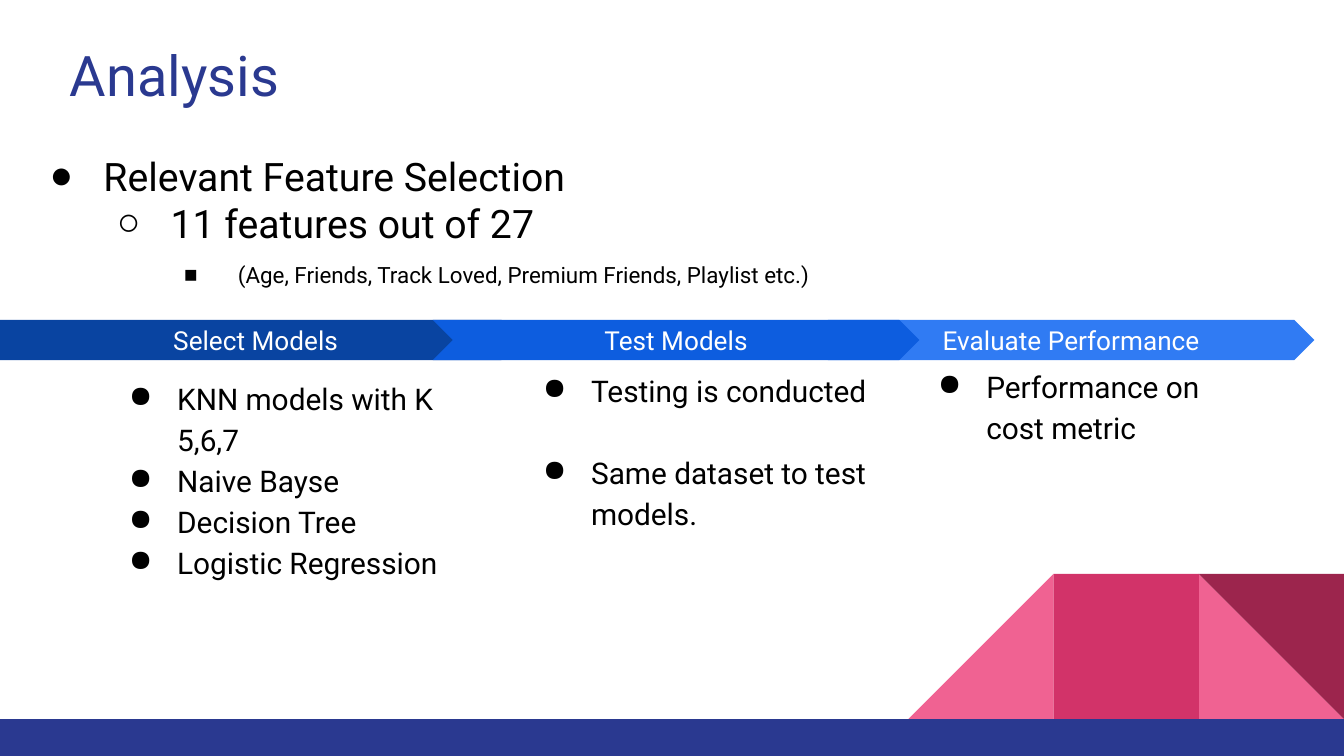
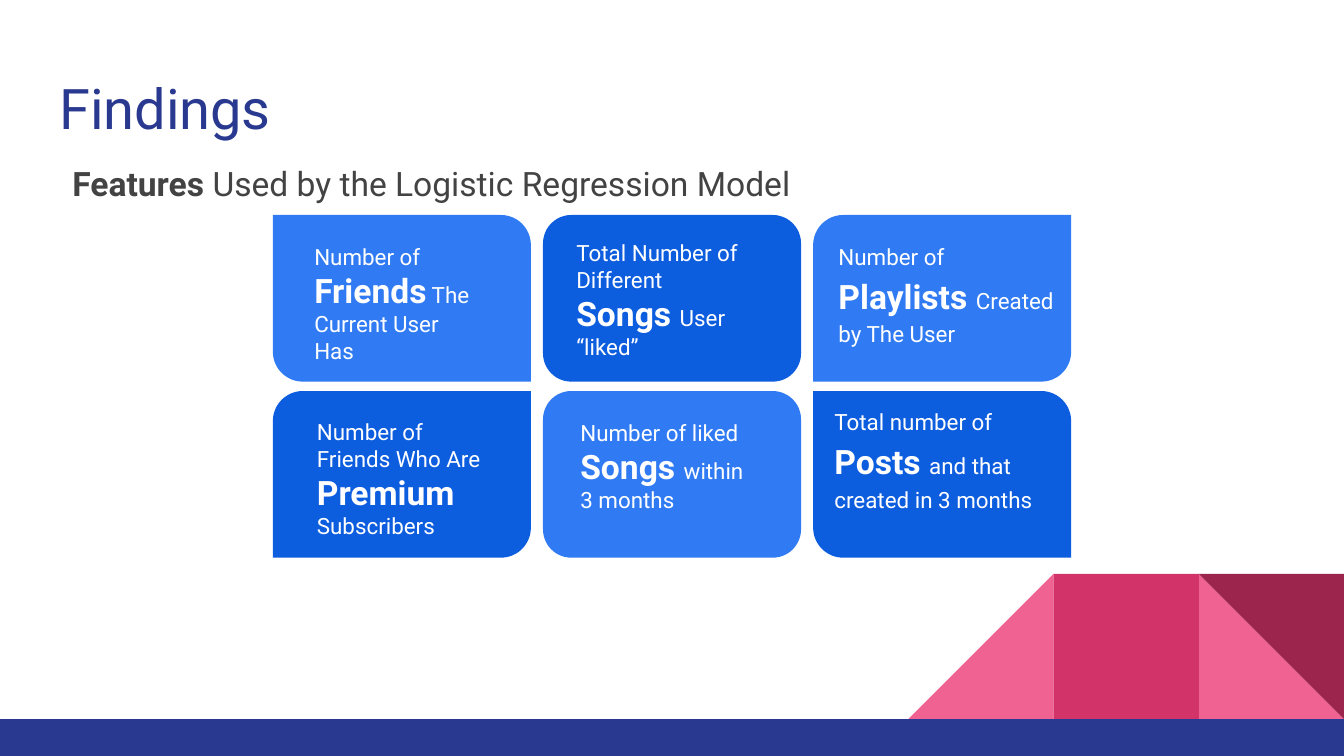
from typing import NamedTuple

from lxml import etree
from pptx import Presentation
from pptx.dml.color import RGBColor
from pptx.enum.shapes import MSO_SHAPE
from pptx.enum.text import MSO_ANCHOR, MSO_AUTO_SIZE, PP_ALIGN
from pptx.oxml.ns import qn
from pptx.util import Inches, Pt

# Colours
NAVY = RGBColor(0x2A, 0x39, 0x90)
DARK_BLUE = RGBColor(0x09, 0x44, 0xA1)
BLUE = RGBColor(0x0D, 0x5D, 0xDF)
LIGHT_BLUE = RGBColor(0x30, 0x7B, 0xF3)
PINK = RGBColor(0xF0, 0x62, 0x92)
ROSE = RGBColor(0xD2, 0x33, 0x69)
WINE = RGBColor(0x9C, 0x25, 0x4D)
GREY = RGBColor(0x43, 0x43, 0x43)
BLACK = RGBColor(0, 0, 0)
WHITE = RGBColor(255, 255, 255)

# Enum members
RECTANGLE = MSO_SHAPE.RECTANGLE
TRIANGLE = MSO_SHAPE.RIGHT_TRIANGLE
PENTAGON = MSO_SHAPE.PENTAGON
CHEVRON = MSO_SHAPE.CHEVRON
ROUNDED = MSO_SHAPE.ROUNDED_RECTANGLE
DIAGONAL = MSO_SHAPE.ROUND_2_DIAG_RECTANGLE
TOP, MIDDLE = MSO_ANCHOR.TOP, MSO_ANCHOR.MIDDLE
NO_AUTOFIT = MSO_AUTO_SIZE.NONE
LEFT, CENTER = PP_ALIGN.LEFT, PP_ALIGN.CENTER

# Slide grid: 100 columns wide, with square cells
SLIDE_WIDTH, SLIDE_HEIGHT = Inches(10), Inches(5.625)
CELL = SLIDE_WIDTH // 100
FONT = "Roboto"
INSET = Inches(0.1)
TITLE_LAYOUT_WITH_BODY, TITLE_LAYOUT = 1, 5


class Box(NamedTuple):
    """A rectangle in grid cells."""
    left: float
    top: float
    width: float
    height: float

    def lengths(self):
        return [round(value * CELL) for value in self]

    def inside(self, left, top, width, height):
        return Box(self.left + left, self.top + top, width, height)


def add_filled_shape(slide, kind, box, color, adjustments=()):
    shape = slide.shapes.add_shape(kind, *box.lengths())
    shape.shadow.inherit = False
    shape.fill.solid()
    shape.fill.fore_color.rgb = color
    shape.line.fill.background()
    for index, value in enumerate(adjustments):
        shape.adjustments[index] = value
    return shape


def prepare_frame(shape, anchor=TOP):
    frame = shape.text_frame
    frame.word_wrap = True
    frame.auto_size = NO_AUTOFIT
    frame.vertical_anchor = anchor
    frame.margin_left = frame.margin_right = INSET
    frame.margin_top = frame.margin_bottom = INSET
    return frame


def add_text_frame(slide, box):
    return prepare_frame(slide.shapes.add_textbox(*box.lengths()))


def move_placeholder(placeholder, box):
    placeholder.left, placeholder.top, placeholder.width, placeholder.height = box.lengths()
    return prepare_frame(placeholder)


def style_paragraph(paragraph, color, size=None, align=LEFT, spacing=1.0, before=0):
    paragraph.font.name = FONT
    paragraph.font.color.rgb = color
    if size:
        paragraph.font.size = Pt(size)
    paragraph.alignment = align
    paragraph.line_spacing = spacing
    paragraph.space_before = Pt(before)


def set_bullet(paragraph, symbol, margin, hanging):
    properties = paragraph._p.get_or_add_pPr()
    properties.set("marL", str(Inches(margin)))
    properties.set("indent", str(-Inches(hanging)))
    bullet_color = etree.SubElement(properties, qn("a:buClr"))
    etree.SubElement(bullet_color, qn("a:srgbClr")).set("val", str(BLACK))
    etree.SubElement(properties, qn("a:buChar")).set("char", symbol)


def add_paragraphs(frame, texts):
    """Write one paragraph for each text and yield it for formatting."""
    for index, text in enumerate(texts):
        paragraph = frame.add_paragraph() if index else frame.paragraphs[0]
        paragraph.text = text
        yield paragraph


def add_mixed_runs(paragraph, runs):
    """Add runs given as (text, size, bold)."""
    for text, size, bold in runs:
        run = paragraph.add_run()
        run.text = text
        run.font.size = Pt(size)
        run.font.bold = bold


def add_corner_art(slide, box):
    """Three square tiles, the last one split along its diagonal."""
    side = box.height
    tiles = [box.inside(column * side, 0, side, side) for column in range(3)]
    add_filled_shape(slide, TRIANGLE, tiles[2], PINK)
    rising = add_filled_shape(slide, TRIANGLE, tiles[0], PINK)
    rising.element.spPr.get_or_add_xfrm().set("flipH", "1")
    add_filled_shape(slide, RECTANGLE, tiles[1], ROSE)
    add_filled_shape(slide, TRIANGLE, tiles[2], WINE).rotation = 180


def add_base_slide(presentation, layout, title, title_box):
    slide = presentation.slides.add_slide(presentation.slide_layouts[layout])
    add_corner_art(slide, Box(67.6, 42.7, 32.4, 10.8))
    add_filled_shape(slide, RECTANGLE, Box(0, 53.5, 100, 2.75), NAVY)
    frame = move_placeholder(slide.shapes.title, title_box)
    frame.text = title
    style_paragraph(frame.paragraphs[0], NAVY, 30)
    return slide


def add_feature_list(slide, box):
    items = [("Relevant Feature Selection", "●", 21, 0),
             ("11 features out of 27", "○", 21, 0),
             ("(Age, Friends, Track Loved, Premium Friends, Playlist etc.)", "■", 12, 8)]
    frame = move_placeholder(slide.placeholders[1], box)
    paragraphs = add_paragraphs(frame, [item[0] for item in items])
    for level, (paragraph, item) in enumerate(zip(paragraphs, items)):
        _, symbol, size, before = item
        paragraph.level = level
        set_bullet(paragraph, symbol, 0.5 * (level + 1), 0.4)
        style_paragraph(paragraph, BLACK, size, before=before)


def add_step(slide, kind, arrow_box, color, heading, list_box, items, gap=0):
    """An arrow with a heading and the bulleted list below it."""
    arrow = add_filled_shape(slide, kind, arrow_box, color, [0.5])
    frame = prepare_frame(arrow, MIDDLE)
    frame.text = heading
    style_paragraph(frame.paragraphs[0], WHITE, 14, CENTER)
    frame = add_text_frame(slide, arrow_box.inside(*list_box))
    for index, paragraph in enumerate(add_paragraphs(frame, items)):
        set_bullet(paragraph, "●", 0.5, 0.36)
        style_paragraph(paragraph, BLACK, 16, spacing=1.15, before=gap if index else 0)


def add_process(slide, box):
    # The middle arrow comes last, as it overlaps both neighbours
    add_step(slide, CHEVRON, box.inside(61.6, 0, 36.2, box.height), LIGHT_BLUE,
             "Evaluate Performance", (5.8, 2.2, 24.5, 15.1),
             ["Performance on cost metric"])
    add_step(slide, PENTAGON, box.inside(0, 0, 38.8, box.height), DARK_BLUE,
             "Select Models", (7.2, 3.1, 30.8, 19.8),
             ["KNN models with K 5,6,7", "Naive Bayse", "Decision Tree",
              "Logistic Regression"])
    add_step(slide, CHEVRON, box.inside(32.2, 0, 36.2, box.height), BLUE,
             "Test Models", (5.8, 2.5, 29.1, 16.3),
             ["Testing is conducted", "Same dataset to test models."], gap=22)


def add_card(slide, box, kind, adjustments, color, text_box, spacing, words):
    add_filled_shape(slide, kind, box, color, adjustments)
    paragraph = add_text_frame(slide, box.inside(*text_box)).paragraphs[0]
    add_mixed_runs(paragraph, zip(words, (12, 18, 12), (False, True, False)))
    style_paragraph(paragraph, WHITE, spacing=spacing)


def add_cards(slide, box):
    """Three columns and two rows of cards in alternating blues."""
    gap_x, gap_y = 0.9, 0.7
    width = (box.width - 2 * gap_x) / 3
    height = (box.height - gap_y) / 2
    falling, rising = (0, 0.18), (0.18, 0)
    cards = [
        (DIAGONAL, falling, (2.1, 1.1, 14.4, 8.3), 1.0,
         ("Number of ", "Friends", " The Current User Has")),
        (ROUNDED, [0.17], (1.5, 0.8, 14.4, 3.6), 1.0,
         ("Total Number of Different ", "Songs ", "User “liked”")),
        (DIAGONAL, rising, (0.9, 0.8, 18.1, 12.4), 1.15,
         ("Number of ", "Playlists ", "Created by The User")),
        (DIAGONAL, rising, (2.3, 1, 15.4, 5.7), 1.0,
         ("Number of Friends Who Are ", "Premium", " Subscribers")),
        (ROUNDED, [0.17], (1.8, 1.1, 14.4, 3.6), 1.0,
         ("Number of liked ", "Songs ", "within 3 months")),
        (DIAGONAL, falling, (0.6, 0, 18.1, 12.4), 1.15,
         ("Total number of ", "Posts ", "and that created in 3 months")),
    ]
    for index, (kind, adjustments, text_box, spacing, words) in enumerate(cards):
        row, column = divmod(index, 3)
        card_box = box.inside(column * (width + gap_x), row * (height + gap_y), width, height)
        color = BLUE if index % 2 else LIGHT_BLUE
        add_card(slide, card_box, kind, adjustments, color, text_box, spacing, words)


def add_subtitle(slide, box):
    paragraph = add_text_frame(slide, box).paragraphs[0]
    add_mixed_runs(paragraph, [("Features", 18, True),
                               (" Used by the Logistic Regression Model", 18, False)])
    style_paragraph(paragraph, GREY)


def build_analysis(presentation):
    slide = add_base_slide(presentation, TITLE_LAYOUT_WITH_BODY, "Analysis",
                           Box(4.2, 2, 93.2, 6.6))
    add_process(slide, Box(0, 23.8, 97.8, 3))
    add_feature_list(slide, Box(1.7, 10.3, 81.3, 12.2))


def build_findings(presentation):
    slide = add_base_slide(presentation, TITLE_LAYOUT, "Findings",
                           Box(3.4, 4.5, 93.2, 6.6))
    add_subtitle(slide, Box(4.4, 11.1, 64.2, 6.6))
    add_cards(slide, Box(20.3, 16, 59.4, 25.5))


def main():
    presentation = Presentation()
    presentation.slide_width, presentation.slide_height = SLIDE_WIDTH, SLIDE_HEIGHT
    build_analysis(presentation)
    build_findings(presentation)
    presentation.save("out.pptx")


if __name__ == "__main__":
    main()
